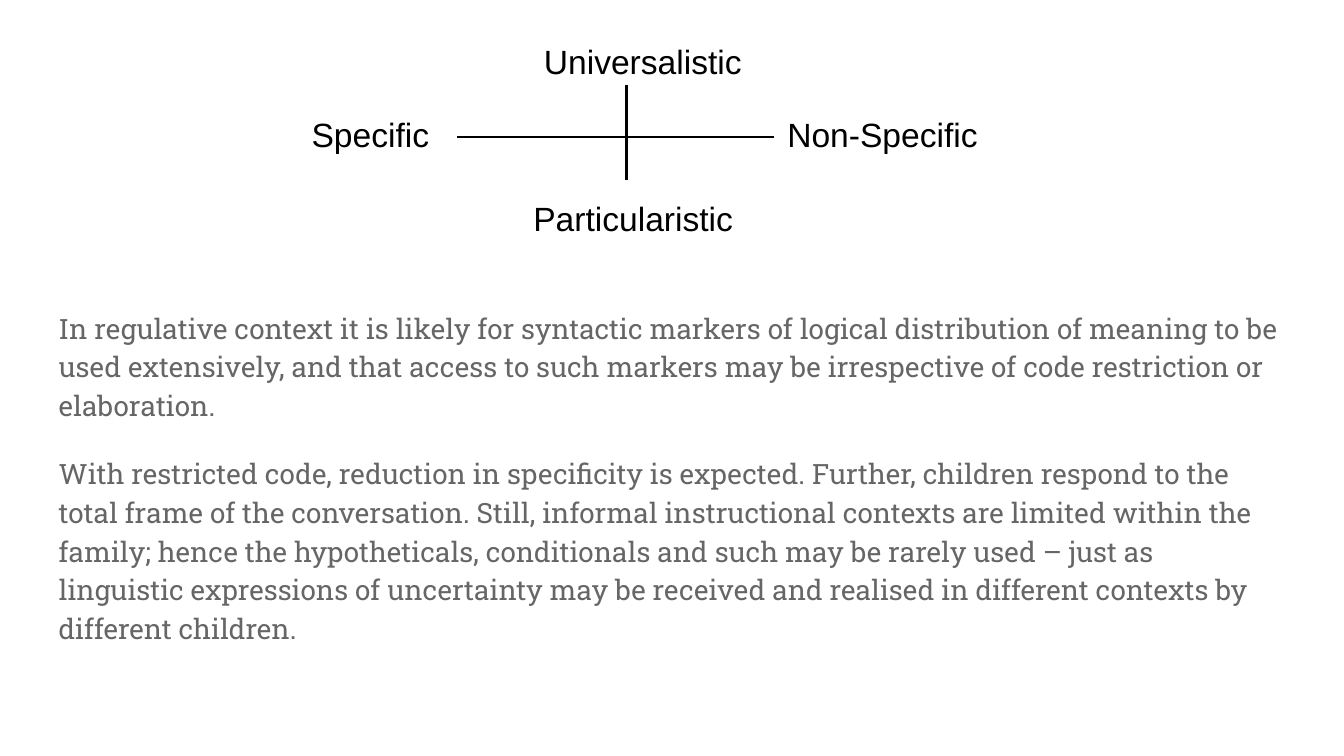
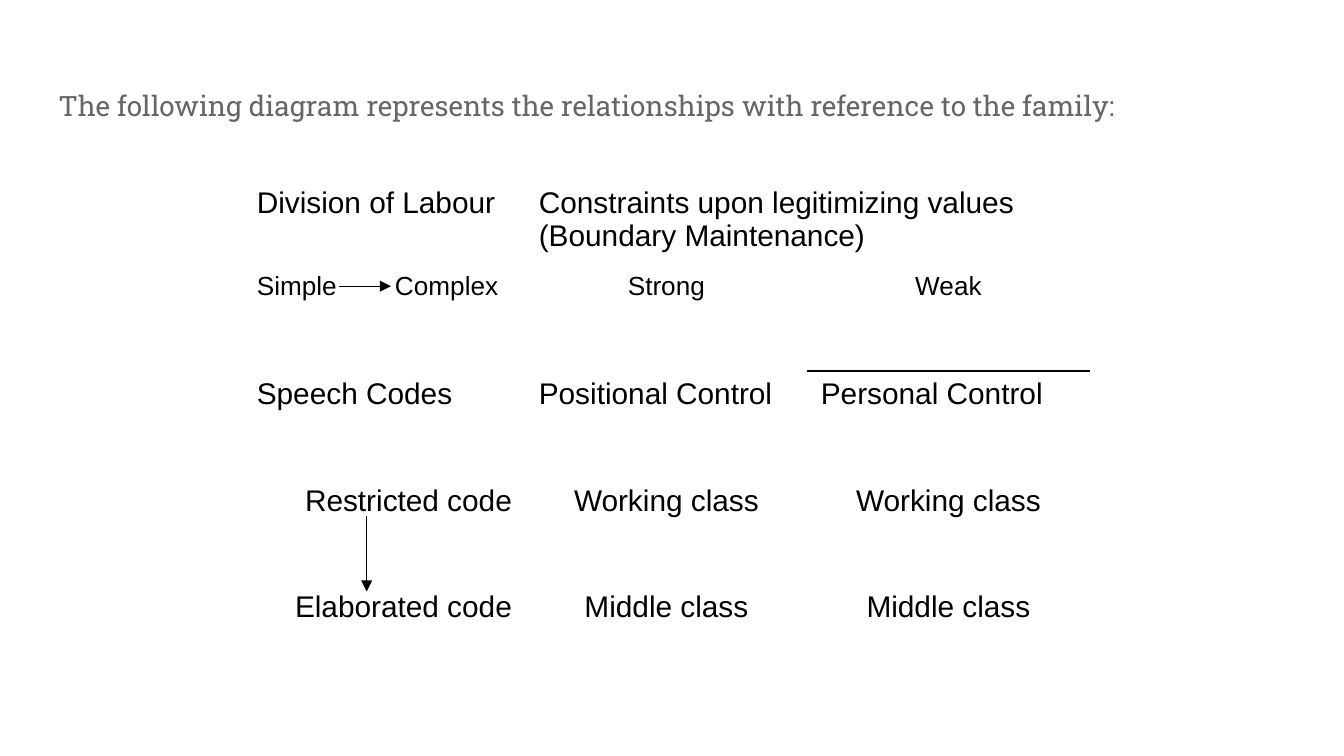
from lxml import etree
from pptx import Presentation
from pptx.dml.color import RGBColor
from pptx.enum.shapes import MSO_CONNECTOR
from pptx.enum.text import PP_ALIGN
from pptx.oxml.ns import qn
from pptx.util import Cm, Pt

LINE = MSO_CONNECTOR.STRAIGHT
LEFT, MID, RIGHT = PP_ALIGN.LEFT, PP_ALIGN.CENTER, PP_ALIGN.RIGHT
HUE = {"ink": "000000", "body": "666666", "paper": "FFFFFF"}
INTRO = [
    "In regulative context it is likely for syntactic markers of logical distribution of meaning "
    "to be used extensively, and that access to such markers may be irrespective of code "
    "restriction or elaboration.",
    "With restricted code, reduction in specificity is expected. Further, children respond to the "
    "total frame of the conversation. Still, informal instructional contexts are limited within "
    "the family; hence the hypotheticals, conditionals and such may be rarely used – just as "
    "linguistic expressions of uncertainty may be received and realised in different contexts by "
    "different children.",
]
LEAD = ["The following diagram represents the relationships with reference to the family:"]


def write(para, text, size, font="Arial", hue="ink", align=LEFT):
    para.alignment = align
    run = para.add_run()
    run.text = text
    run.font.size = Pt(size)
    run.font.name = font
    run.font.color.rgb = RGBColor.from_string(HUE[hue])


def draw(slide, x1, y1, x2, y2, width, arrow=False):
    line = slide.shapes.add_connector(LINE, Cm(x1), Cm(y1), Cm(x2), Cm(y2))
    line.line.color.rgb = RGBColor.from_string(HUE["ink"])
    line.line.width = Pt(width)
    if arrow:
        etree.SubElement(line.line._get_or_add_ln(), qn("a:tailEnd"), type="triangle")
    etree.SubElement(line._element.spPr, qn("a:effectLst"))


deck = Presentation()
deck.slide_width, deck.slide_height = Cm(25.4), Cm(14.29)
slides = []
for texts, inset in [(INTRO, 4.47), (LEAD, 0.25)]:
    slide = deck.slides.add_slide(deck.slide_layouts[6])
    slides.append(slide)
    frame = slide.shapes.add_textbox(Cm(0.86), Cm(1.32), Cm(23.67), Cm(11.58)).text_frame
    frame.word_wrap = True
    frame.margin_left = frame.margin_right = frame.margin_bottom = Cm(0.25)
    frame.margin_top = Cm(inset)
    for i, text in enumerate(texts):
        para = frame.paragraphs[0] if i == 0 else frame.add_paragraph()
        para.line_spacing = 1.15
        if i:
            para.space_before = Pt(16)
        write(para, text, 15, "Roboto Slab", "body")

axes, family = slides
draw(axes, 8.64, 2.59, 14.63, 2.59, 1.42)
draw(axes, 11.84, 1.6, 11.84, 3.4, 1.42)
for text, x, y, width in [
    ("Universalistic", 10.03, 0.64, 5.0),
    ("Particularistic", 9.83, 3.61, 4.39),
    ("Specific", 5.64, 2.03, 3.81),
    ("Non-Specific", 14.63, 2.03, 6.6),
]:
    frame = axes.shapes.add_textbox(Cm(x), Cm(y), Cm(width), Cm(0.97)).text_frame
    frame.word_wrap = True
    write(frame.paragraphs[0], text, 18)

ROWS = [
    (16, LEFT, LEFT, ["Division of Labour",
                      "Constraints upon legitimizing values (Boundary Maintenance)", ""]),
    (14, LEFT, MID, ["Simple\tComplex", "Strong", "Weak"]),
    (16, LEFT, LEFT, ["Speech Codes", "Positional Control", "Personal Control"]),
    (16, RIGHT, MID, ["Restricted code", "Working class", "Working class"]),
    (16, RIGHT, MID, ["Elaborated code", "Middle class", "Middle class"]),
]
RULES = {(1, 2, "B"), (2, 2, "T")}
grid = family.shapes.add_table(5, 3, Cm(4.6), Cm(3.4), Cm(16), Cm(9.6)).table
grid.first_row = grid.horz_banding = False
for col in grid.columns:
    col.width = Cm(5.33)
for r, (size, first, rest, texts) in enumerate(ROWS):
    grid.rows[r].height = Cm(2.01 if r else 1.6)
    for c, text in enumerate(texts):
        cell = grid.cell(r, c)
        props = cell._tc.get_or_add_tcPr()
        for side in "LRTB":
            ruled = (r, c, side) in RULES
            edge = etree.SubElement(props, qn("a:ln" + side), w=str(Pt(1 if ruled else 0.06)))
            fill = etree.SubElement(edge, qn("a:solidFill"))
            etree.SubElement(fill, qn("a:srgbClr"), val=HUE["ink" if ruled else "paper"])
        cell.fill.solid()
        cell.fill.fore_color.rgb = RGBColor.from_string(HUE["paper"])
        if text:
            write(cell.text_frame.paragraphs[0], text, size, align=rest if c else first)
grid.cell(0, 1).merge(grid.cell(0, 2))

para = grid.cell(1, 0).text_frame.paragraphs[0]
tabs = etree.SubElement(para._p.get_or_add_pPr(), qn("a:tabLst"))
etree.SubElement(tabs, qn("a:tab"), pos=str(Cm(2.61)), algn="l")

draw(family, 6.4, 5.41, 7.39, 5.41, 0.75, True)
draw(family, 6.93, 9.75, 6.93, 11.18, 0.75, True)
deck.save("out.pptx")
